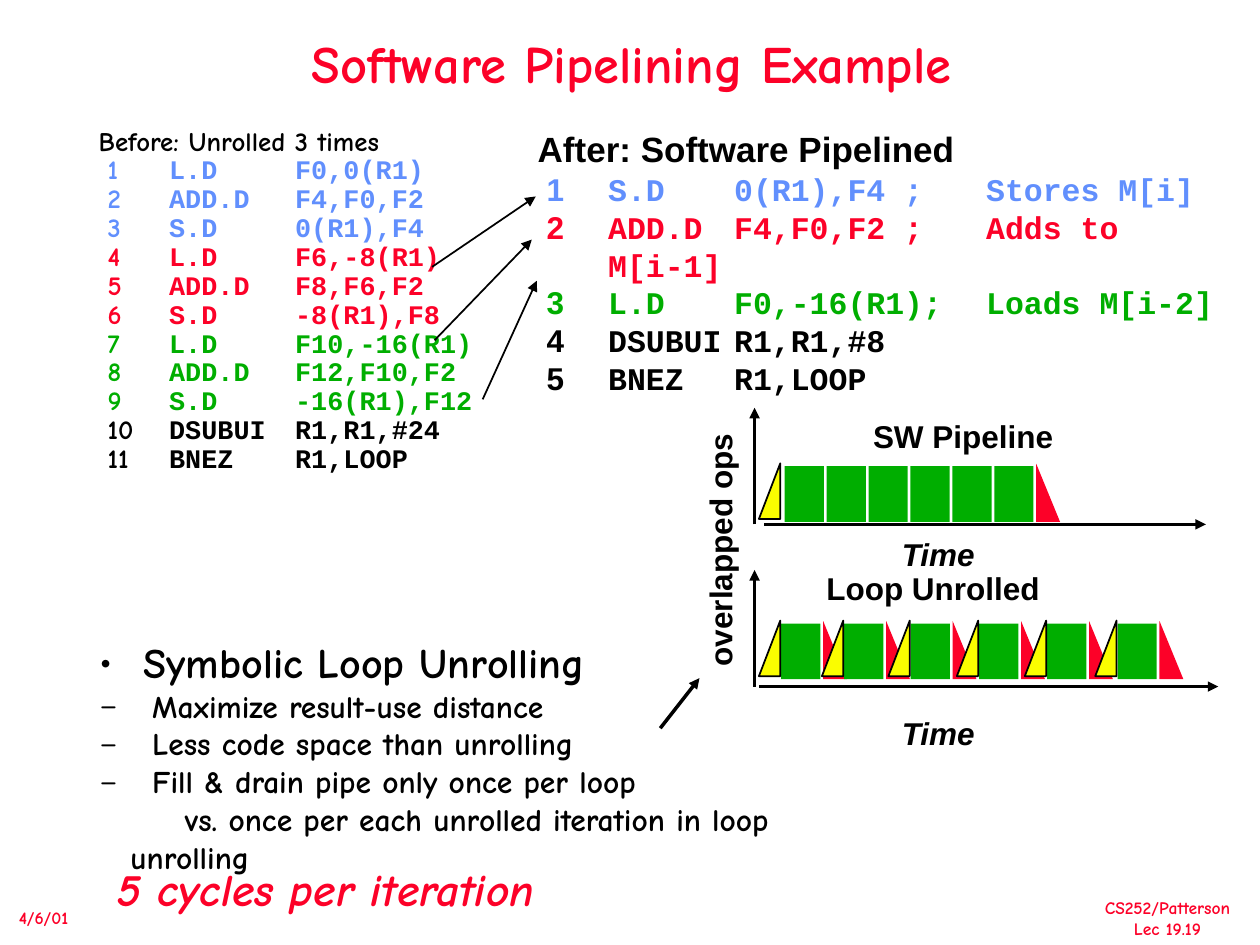
from lxml import etree
from pptx import Presentation
from pptx.dml.color import RGBColor
from pptx.enum.shapes import MSO_CONNECTOR, MSO_SHAPE
from pptx.enum.text import MSO_ANCHOR, PP_ALIGN
from pptx.oxml.ns import qn
from pptx.util import Cm, Pt

CENTER, LEFT = PP_ALIGN.CENTER, PP_ALIGN.LEFT
MIDDLE = MSO_ANCHOR.MIDDLE
RECTANGLE, TRIANGLE = MSO_SHAPE.RECTANGLE, MSO_SHAPE.RIGHT_TRIANGLE
STRAIGHT = MSO_CONNECTOR.STRAIGHT
COMIC, ARIAL, COURIER = "Comic Neue", "Arial", "Courier New"
BLACK, RED, GREEN, BLUE, YELLOW = "000000", "FC0128", "00AE00", "618FFD", "FAFD00"

BEFORE_LINES = [
    ("1", "L.D", "F0,0(R1)", BLUE),
    ("2", "ADD.D", "F4,F0,F2", BLUE),
    ("3", "S.D", "0(R1),F4", BLUE),
    ("4", "L.D", "F6,-8(R1)", RED),
    ("5", "ADD.D", "F8,F6,F2", RED),
    ("6", "S.D", "-8(R1),F8", RED),
    ("7", "L.D", "F10,-16(R1)", GREEN),
    ("8", "ADD.D", "F12,F10,F2", GREEN),
    ("9", "S.D", "-16(R1),F12", GREEN),
    ("10", "DSUBUI", "R1,R1,#24", BLACK),
    ("11", "BNEZ", "R1,LOOP", BLACK),
]
AFTER_LINES = [
    ("1", "S.D", "0(R1),F4 ;\tStores M[i]", BLUE),
    ("2", "ADD.D", "F4,F0,F2 ;\tAdds to\v\t\tM[i-1]", RED),
    ("3", "L.D", "F0,-16(R1);\tLoads M[i-2]", GREEN),
    ("4", "DSUBUI", "R1,R1,#8", BLACK),
    ("5", "BNEZ", "R1,LOOP", BLACK),
]
CODE_TABS = [0.18, 1.42, 3.96, 9.04]
BULLETS = [
    ("•", "Symbolic Loop Unrolling", 24, 0.9, -0.9),
    ("–", "Maximize result-use distance", 18, 1.07, -1.07),
    ("–", "Less code space than unrolling", 18, 1.07, -1.07),
    ("–", "Fill & drain pipe only once per loop", 18, 1.07, -1.07),
    (None, "vs. once per each unrolled iteration in loop unrolling", 18, 0.63, 1.1),
]


def rgb(value):
    return RGBColor.from_string(value)


def set_font(font, size, color, name=None, italic=None):
    font.size, font.bold, font.italic = Pt(size), True, italic
    font.color.rgb = rgb(color)
    if name:
        font.name = name


def add_text_box(slide, left, top, width, height, wrap=False):
    box = slide.shapes.add_textbox(Cm(left), Cm(top), Cm(width), Cm(height))
    box.text_frame.word_wrap = wrap
    return box


def add_label(slide, text, box, size=18, color=BLACK, name=ARIAL, italic=None, align=LEFT):
    label = add_text_box(slide, *box)
    label.text_frame.text = text
    for paragraph in label.text_frame.paragraphs:
        paragraph.alignment = align
        set_font(paragraph.font, size, color, name, italic)
    return label


def add_arrow(slide, start, end, width=2):
    arrow = slide.shapes.add_connector(STRAIGHT, *(Cm(value) for value in start + end))
    arrow.line.color.rgb = rgb(BLACK)
    arrow.line.width = Pt(width)
    etree.SubElement(arrow.line._get_or_add_ln(), qn("a:tailEnd"), type="triangle")
    etree.SubElement(arrow._element.spPr, qn("a:effectLst"))


def add_block(shapes, kind, left, top, width, height, fill, outline=None):
    block = shapes.add_shape(kind, Cm(left), Cm(top), Cm(width), Cm(height))
    block.shadow.inherit = False
    block.fill.solid()
    block.fill.fore_color.rgb = rgb(fill)
    if outline:
        block.line.color.rgb = rgb(outline)
        block.line.width = Pt(1)
    else:
        block.line.fill.background()
    return block


def add_title(slide, text, left, top, width, height):
    title = slide.shapes.title
    title.left, title.top, title.width, title.height = Cm(left), Cm(top), Cm(width), Cm(height)
    title.text_frame.text = text
    title.text_frame.vertical_anchor = MIDDLE
    paragraph = title.text_frame.paragraphs[0]
    paragraph.alignment, paragraph.line_spacing = CENTER, 0.9
    set_font(paragraph.font, 30, RED, COMIC)


def add_listing(slide, box, heading, heading_size, heading_spacing, lines, size, spacing, number_font):
    """A heading over tab-aligned numbered instructions."""
    frame = add_text_box(slide, *box, wrap=True).text_frame
    frame.text = heading
    paragraph = frame.paragraphs[0]
    paragraph.line_spacing = heading_spacing
    set_font(paragraph.font, heading_size, BLACK, number_font)
    for number, operation, operands, color in lines:
        paragraph = frame.add_paragraph()
        paragraph.line_spacing = spacing
        tabs = etree.SubElement(paragraph._p.get_or_add_pPr(), qn("a:tabLst"))
        for position in CODE_TABS:
            etree.SubElement(tabs, qn("a:tab"), pos=str(Cm(position)), algn="l")
        set_font(paragraph.font, size, color)
        run = paragraph.add_run()
        run.text, run.font.name = f"\t{number}\t", number_font
        for index, part in enumerate(f"{operation}\t{operands}".split("\v")):
            if index:
                paragraph.add_line_break()
            run = paragraph.add_run()
            run.text, run.font.name = part, COURIER


def add_bullets(slide, box):
    frame = add_text_box(slide, *box, wrap=True).text_frame
    for index, (bullet, text, size, margin, indent) in enumerate(BULLETS):
        paragraph = frame.add_paragraph() if index else frame.paragraphs[0]
        paragraph.text = text
        properties = paragraph._p.get_or_add_pPr()
        properties.set("marL", str(Cm(margin)))
        properties.set("indent", str(Cm(indent)))
        if bullet:
            bullet_color = etree.SubElement(properties, qn("a:buClr"))
            etree.SubElement(bullet_color, qn("a:srgbClr"), val=BLACK)
            etree.SubElement(properties, qn("a:buFont"), typeface=COMIC)
            etree.SubElement(properties, qn("a:buChar"), char=bullet)
        set_font(paragraph.font, size, BLACK, COMIC)


def add_pipeline_run(shapes, left, bottom, block_count, fill_gap):
    """A filling ramp, equal full blocks and a draining ramp."""
    width, height, pitch = 0.79, 1.12, 0.845
    ramp_width = 0.43
    for index in range(block_count):
        add_block(shapes, RECTANGLE, left + index * pitch, bottom - height, width, height, GREEN)
    # The ramp is turned a quarter, so its box is laid out around its centre.
    center_x, center_y = left - fill_gap + ramp_width / 2, bottom - 0.06 - height / 2
    ramp = add_block(shapes, TRIANGLE, center_x - height / 2, center_y - ramp_width / 2,
                     height, ramp_width, YELLOW, BLACK)
    ramp.rotation = 270
    add_block(shapes, TRIANGLE, left + block_count * pitch, bottom - 1.17, 0.48, 1.17, RED)


def add_axes(slide, left, base, start, end, heading, heading_box, time_top):
    add_arrow(slide, (left + start, base), (left + end, base))
    add_arrow(slide, (left, base), (left, base - 2.35))
    x, y, width = heading_box
    add_label(slide, heading, (left + x, base + y, width, 1.02))
    add_label(slide, "Time", (left + 2.72, base + time_top, 1.98, 1.02), italic=True)


def add_software_pipeline(slide, left, base):
    add_pipeline_run(slide.shapes, left + 0.61, base - 0.05, 6, 0.52)
    add_axes(slide, left, base, 0.2, 9.1, "SW Pipeline", (2.14, -2.29, 4.3), 0.1)


def add_unrolled_loop(slide, left, base):
    for offset in (0.54, 1.81, 3.15, 4.53, 5.9, 7.32):
        group = slide.shapes.add_group_shape()
        add_pipeline_run(group.shapes, left + offset, base - 0.15, 1, 0.45)
    add_axes(slide, left, base, 0.1, 9.35, "Loop Unrolled", (1.2, -2.49, 5.2), 0.43)


def main():
    presentation = Presentation()
    presentation.slide_width, presentation.slide_height = Cm(25.4), Cm(19.05)
    slide = presentation.slides.add_slide(presentation.slide_layouts[5])
    add_label(slide, "CS252/Patterson\nLec 19.19", (22, 17.96, 3.07, 1.09), 10, RED, COMIC, align=CENTER)
    add_label(slide, "4/6/01", (0.13, 18.16, 1.5, 0.69), 10, RED, COMIC)
    add_title(slide, "Software Pipelining Example", 2.79, 0.33, 19.89, 2.01)
    add_listing(slide, (1.74, 2.51, 9.27, 9.96), "Before: Unrolled 3 times", 15.3, 0.8,
                BEFORE_LINES, 15.3, 0.9, COMIC)
    add_listing(slide, (10.59, 2.54, 14.4, 10), "After: Software Pipelined", 20, 0.9,
                AFTER_LINES, 18, 1.0, ARIAL)
    for start, end in (((8.71, 5.38), (10.8, 3.96)),
                       ((8.76, 6.86), (10.72, 4.83)),
                       ((9.73, 8.05), (10.82, 5.66))):
        add_arrow(slide, start, end, 1)
    add_bullets(slide, (1.75, 12.7, 16.08, 4.32))
    add_software_pipeline(slide, 15.21, 10.57)
    add_unrolled_loop(slide, 15.21, 13.84)
    add_label(slide, "overlapped ops", (11.91, 10.57, 5.21, 1.02)).rotation = 270
    add_arrow(slide, (13.31, 14.68), (14.1, 13.67))
    cycles = add_label(slide, "5 cycles per iteration", (2.08, 17.22, 8.97, 1.37),
                       26, RED, COMIC, italic=True, align=CENTER)
    cycles.text_frame.vertical_anchor = MIDDLE
    presentation.save("out.pptx")


if __name__ == "__main__":
    main()
